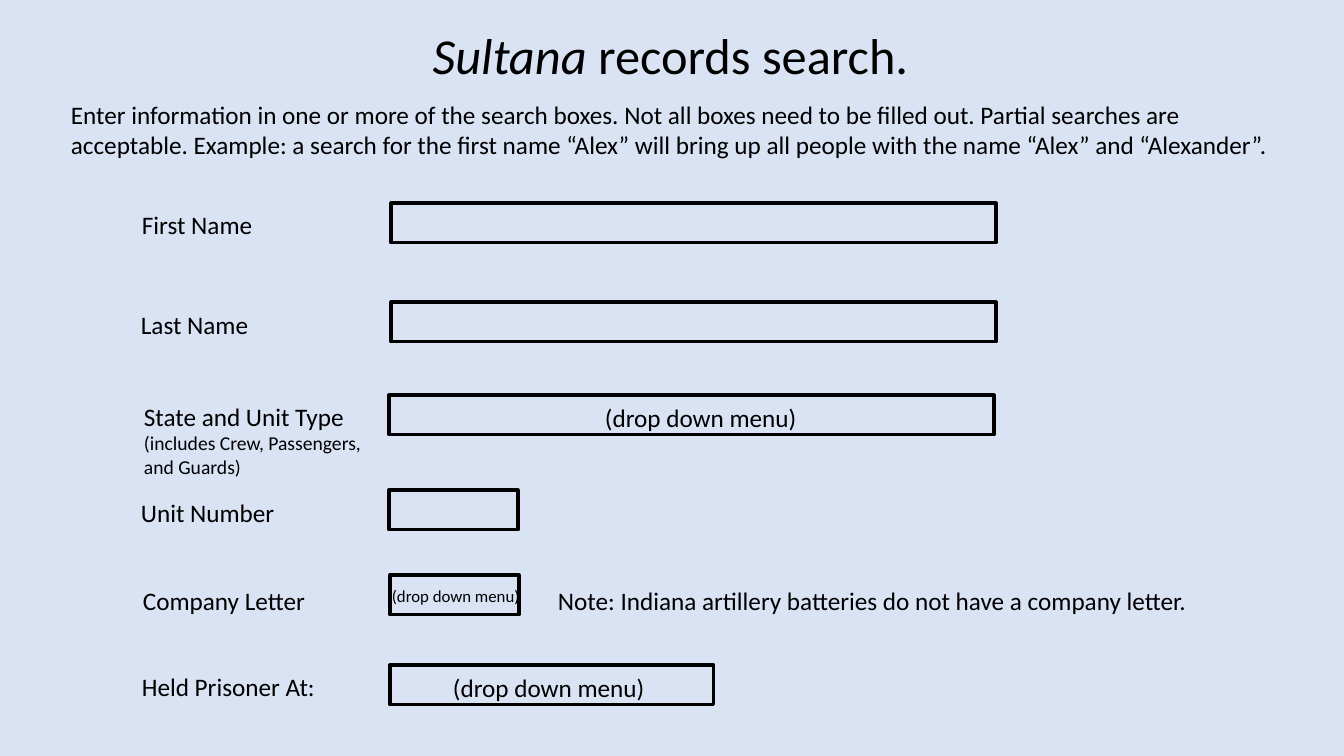
from pptx import Presentation
from pptx import util as u
from pptx.dml.color import RGBColor
from pptx.enum import shapes, text

PX = 12192000 / 1344
BACKGROUND = RGBColor(0xDA, 0xE3, 0xF3)
BLACK = RGBColor(0, 0, 0)
FONT = "Calibri"
ROW_HEIGHT = 40
MENU = "(drop down menu)"

# Label box (left, top, width), label lines with sizes, field box (left, top, width)
ROWS = [
    ((132, 204, 299), [("First Name", 18)], (391, 203, 605)),
    ((131, 304, 299), [("Last Name", 18)], (391, 302, 605)),
    ((134, 396, 257), [("State and Unit Type", 18),
                       ("(includes Crew, Passengers, and Guards)", 14)], (389, 395, 605)),
    ((131, 492, 299), [("Unit Number", 18)], (389, 490, 129)),
    ((133, 580, 299), [("Company Letter", 18)], (390, 575, 129)),
    ((132, 666, 299), [("Held Prisoner At:", 18)], (390, 665, 324)),
]
# Menu hint box (left, top, width) and text size
MENU_HINTS = [((595, 397, 243), 18), ((382, 581, 214), 12), ((443, 667, 243), 18)]


def px(*lengths):
    return [u.Emu(round(length * PX)) for length in lengths]


def prepare_frame(shape):
    frame = shape.text_frame
    frame.word_wrap = True
    frame.auto_size = text.MSO_AUTO_SIZE.NONE
    frame.vertical_anchor = text.MSO_ANCHOR.TOP
    return frame


def add_run(paragraph, words, size=18, italic=False):
    run = paragraph.add_run()
    run.text = words
    run.font.name = FONT
    run.font.size = u.Pt(size)
    run.font.italic = italic
    run.font.color.rgb = BLACK


def add_text(slide, box, lines, height=ROW_HEIGHT):
    """Place a text box with one paragraph for each (words, size) pair."""
    shape = slide.shapes.add_textbox(*px(*box, height))
    frame = prepare_frame(shape)
    for index, (words, size) in enumerate(lines):
        paragraph = frame.add_paragraph() if index else frame.paragraphs[0]
        add_run(paragraph, words, size=size)


def add_title(slide, box):
    title = slide.shapes.title
    title.left, title.top, title.width, title.height = px(*box)
    paragraph = prepare_frame(title).paragraphs[0]
    paragraph.alignment = text.PP_ALIGN.CENTER
    add_run(paragraph, "Sultana ", size=36, italic=True)
    add_run(paragraph, "records search.", size=36)


def add_field(slide, box):
    field = slide.shapes.add_shape(shapes.MSO_SHAPE.RECTANGLE, *px(*box, ROW_HEIGHT))
    field.shadow.inherit = False
    field.fill.background()
    field.line.color.rgb = BLACK
    field.line.width = u.Pt(2.25)


def add_search_form(slide):
    for label_box, lines, field_box in ROWS:
        height = ROW_HEIGHT if len(lines) == 1 else 89
        add_text(slide, label_box, lines, height=height)
        add_field(slide, field_box)
    for hint_box, size in MENU_HINTS:
        add_text(slide, hint_box, [(MENU, size)])
    add_text(slide, (548, 580, 676), [
        ("Note: Indiana artillery batteries do not have a company letter.", 18)])


def main():
    presentation = Presentation()
    presentation.slide_width, presentation.slide_height = px(1344, 756)
    slide = presentation.slides.add_slide(presentation.slide_layouts[5])
    slide.background.fill.solid()
    slide.background.fill.fore_color.rgb = BACKGROUND
    add_title(slide, (86, 19, 1169, 72))
    add_text(slide, (61, 94, 1227), [
        ("Enter information in one or more of the search boxes. Not all boxes need to be "
         "filled out. Partial searches are acceptable. Example: a search for the first name "
         "“Alex” will bring up all people with the name “Alex” and “Alexander”.", 18)],
        height=72)
    add_search_form(slide)
    presentation.save("out.pptx")


if __name__ == "__main__":
    main()
